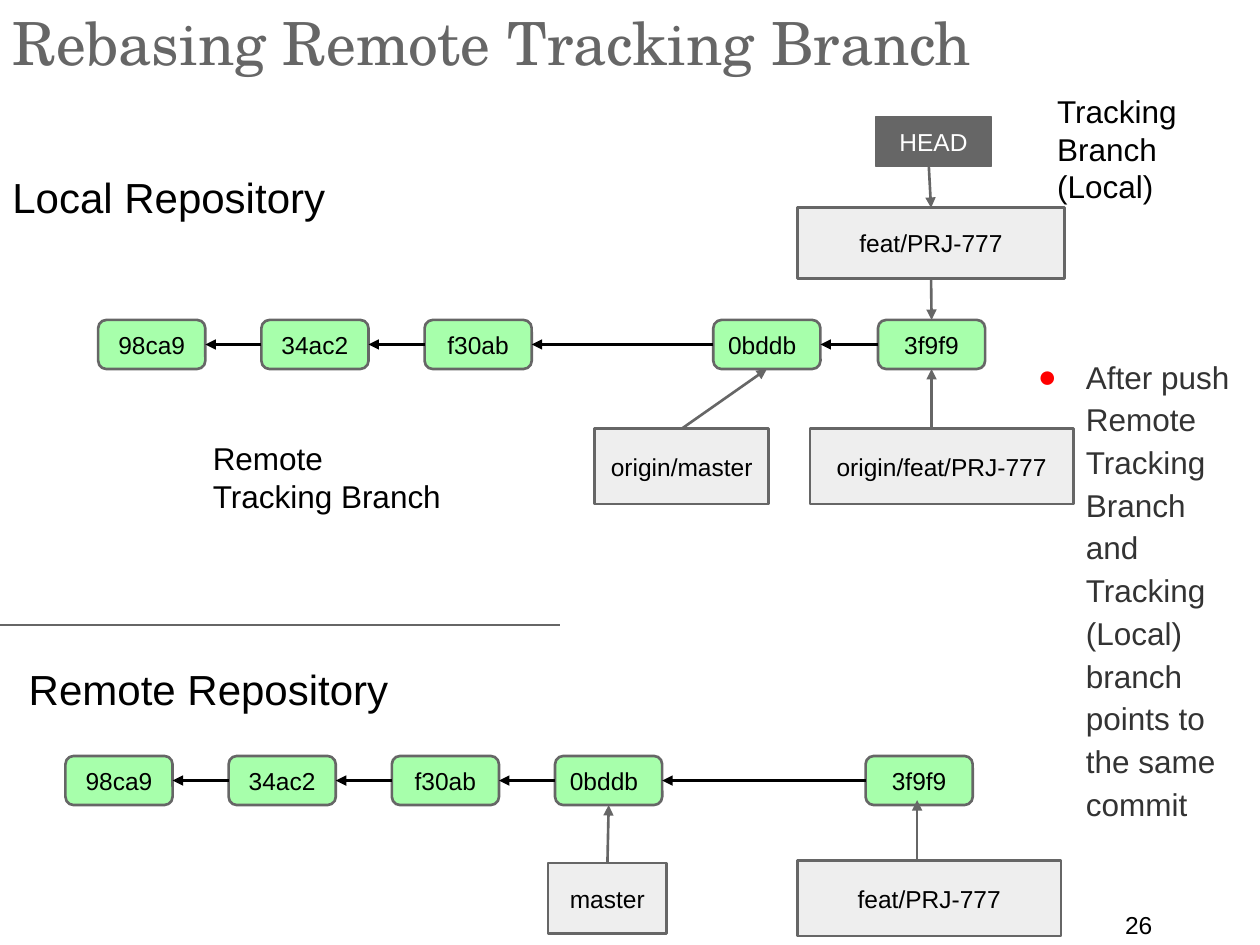
import collections
import dataclasses

import lxml.etree
import pptx
import pptx.dml.color
import pptx.enum.shapes
import pptx.enum.text
import pptx.oxml.ns
import pptx.util

Cm, Pt = pptx.util.Cm, pptx.util.Pt
RGB = pptx.dml.color.RGBColor.from_string
ALIGN = pptx.enum.text.PP_ALIGN
ANCHOR = pptx.enum.text.MSO_ANCHOR
SHAPE = pptx.enum.shapes.MSO_SHAPE
TOP, LEFT, BOTTOM, RIGHT = range(4)
Box = collections.namedtuple("Box", "x y w h")


@dataclasses.dataclass(frozen=True)
class Theme:
    """Colours, fonts and type sizes of the slide."""
    gray: str = "666666"
    black: str = "000000"
    white: str = "FFFFFF"
    commit: str = "A7FFAB"
    ref: str = "EEEEEE"
    body: str = "333333"
    bullet: str = "FF0000"
    sans: str = "Arial"
    serif: str = "TeX Gyre Schola"
    title_size: int = 34
    heading_size: int = 24
    note_size: int = 18
    label_size: int = 14


T = Theme()
COMMIT_W, COMMIT_H, STEP = 2.16, 0.99, 3.29


def inner(box, x, y, w, h):
    """Return a box placed relative to the corner of another."""
    return Box(box.x + x, box.y + y, w, h)


def put_text(sp, text, size, color=T.black, font=T.sans, align=ALIGN.LEFT,
             anchor=ANCHOR.TOP, margin_y=0.25):
    """Write one formatted paragraph and return it."""
    tf = sp.text_frame
    frame = {"word_wrap": True, "auto_size": pptx.enum.text.MSO_AUTO_SIZE.NONE,
             "vertical_anchor": anchor, "margin_left": Cm(0.25), "margin_right": Cm(0.25),
             "margin_top": Cm(margin_y), "margin_bottom": Cm(margin_y)}
    for name, value in frame.items():
        setattr(tf, name, value)
    p = tf.paragraphs[0]
    p.alignment = align
    r = p.add_run()
    r.text = text
    for name, value in {"name": font, "size": Pt(size), "bold": False}.items():
        setattr(r.font, name, value)
    r.font.color.rgb = RGB(color)
    return p


def label(s, box, text, size, **fmt):
    """Add a text box."""
    put_text(s.shapes.add_textbox(*map(Cm, box)), text, size, **fmt)


def node(s, box, text, fill, kind=SHAPE.RECTANGLE, color=T.black, align=ALIGN.CENTER, width=1.5):
    """Add an outlined box with a label."""
    sp = s.shapes.add_shape(kind, *map(Cm, box))
    sp.shadow.inherit = False
    sp.fill.solid()
    sp.fill.fore_color.rgb = RGB(fill)
    sp.line.color.rgb = RGB(T.gray)
    sp.line.width = Pt(width)
    put_text(sp, text, T.label_size, color, align=align, anchor=ANCHOR.MIDDLE)
    return sp


def line(s, x1, y1, x2, y2, color=T.gray, arrow=True):
    """Add a straight line, with an arrowhead at its end if wanted."""
    c = s.shapes.add_connector(pptx.enum.shapes.MSO_CONNECTOR.STRAIGHT, *map(Cm, (x1, y1, x2, y2)))
    c.line.color.rgb = RGB(color)
    c.line.width = Pt(1.5)
    qn = pptx.oxml.ns.qn
    if arrow:
        lxml.etree.SubElement(c.line._get_or_add_ln(), qn("a:tailEnd"), type="triangle")
    lxml.etree.SubElement(c._element.spPr, qn("a:effectLst"))
    return c


def link(s, box, nodes, start, end, color=T.gray):
    """Draw an arrow between ends given as (node name, side) or as points in the box."""
    glued = [isinstance(e[0], str) for e in (start, end)]
    points = [(0, 0) if g else (box.x + e[0], box.y + e[1]) for g, e in zip(glued, (start, end))]
    c = line(s, *points[0], *points[1], color=color)
    for g, e, connect in zip(glued, (start, end), (c.begin_connect, c.end_connect)):
        if g:
            connect(nodes[e[0]], e[1])


def repository(s, box, heading, origin, commits, refs, links):
    """Draw a repository: heading, chain of commits, refs and their arrows."""
    text, x, y, w = heading
    label(s, inner(box, x, y, w, 1.52), text, T.heading_size)
    nodes, previous = {}, None
    for name, offset in commits.items():
        align = ALIGN.LEFT if name == "0bddb" else ALIGN.CENTER
        place = inner(box, origin[0] + offset, origin[1], COMMIT_W, COMMIT_H)
        nodes[name] = node(s, place, name, T.commit, SHAPE.ROUNDED_RECTANGLE, align=align)
        if previous:
            link(s, box, nodes, (name, LEFT), (previous, RIGHT), T.black)
        previous = name
    for name, place in refs.items():
        fmt = {"fill": T.ref}
        if name == "HEAD":
            fmt = {"fill": T.gray, "color": T.white, "width": 0.75}
        nodes[name] = node(s, inner(box, *place), name, **fmt)
    for start, end in links:
        link(s, box, nodes, start, end)


def title(s, box, text):
    """Fill and place the title placeholder."""
    sp = s.shapes.title
    sp.left, sp.top, sp.width, sp.height = map(Cm, box)
    put_text(sp, text, T.title_size, T.gray, T.serif, margin_y=0.13)


def bullet(s, box, text):
    """Fill and place the body placeholder as one bullet."""
    sp = s.placeholders[1]
    sp.left, sp.top, sp.width, sp.height = map(Cm, box)
    p = put_text(sp, text, T.note_size, T.body)
    qn = pptx.oxml.ns.qn
    pPr = p._p.get_or_add_pPr()
    pPr.set("marL", str(Cm(1.27)))
    pPr.set("indent", str(Cm(-0.97)))
    clr = lxml.etree.SubElement(pPr, qn("a:buClr"))
    lxml.etree.SubElement(clr, qn("a:srgbClr"), val=T.bullet)
    lxml.etree.SubElement(pPr, qn("a:buChar"), char="●")
    for name, value in {"line_spacing": 1.13, "space_before": Pt(0), "space_after": Pt(8)}.items():
        setattr(p, name, value)


def main():
    """Build and save the slide."""
    prs = pptx.Presentation()
    prs.slide_width, prs.slide_height = Cm(25.4), Cm(19.05)
    s = prs.slides.add_slide(prs.slide_layouts[1])
    title(s, Box(0, 0, 25.4, 1.52), "Rebasing Remote Tracking Branch")
    bullet(s, Box(20.37, 6.86, 4.83, 11.99),
           "After push Remote Tracking Branch and Tracking (Local) branch points to the same commit")
    first = {name: i * STEP for i, name in enumerate(("98ca9", "34ac2", "f30ab"))}
    repository(
        s, Box(0, 2.36, 21.64, 7.8), ("Local Repository", 0, 0.84, 7.42), (1.98, 4.09),
        {**first, "0bddb": 12.4, "3f9f9": 15.72},
        {"HEAD": (17.65, 0, 2.34, 0.99), "feat/PRJ-777": (16.08, 1.83, 5.38, 1.42),
         "origin/master": (11.99, 6.28, 3.51, 1.52),
         "origin/feat/PRJ-777": (16.33, 6.28, 5.31, 1.52)},
        [((18.72, 0.92), ("feat/PRJ-777", TOP)),
         (("feat/PRJ-777", BOTTOM), ("3f9f9", TOP)),
         (("origin/master", TOP), ("0bddb", BOTTOM)),
         ((18.78, 6.25), ("3f9f9", BOTTOM))])
    repository(
        s, Box(0, 13.13, 21.64, 5.74), ("Remote Repository", 0.33, 0, 8.87), (1.32, 2.11),
        {**first, "0bddb": 3 * STEP, "3f9f9": 16.13},
        {"master": (11.05, 4.27, 2.39, 1.42), "feat/PRJ-777": (16.08, 4.22, 5.31, 1.52)},
        [(("master", TOP), ("0bddb", BOTTOM)), ((18.49, 4.19), (18.49, 3))])
    line(s, 0, 12.6, 11.28, 12.6, arrow=False)
    label(s, Box(4.04, 8.61, 5.16, 1.96), "Remote Tracking Branch", T.note_size)
    label(s, Box(21.06, 1.6, 4.34, 1.96), "Tracking Branch (Local)", T.note_size)
    label(s, Box(22.43, 18.21, 2.34, 0.64), "26", T.label_size, margin_y=0.13)
    prs.save("out.pptx")


if __name__ == "__main__":
    main()
